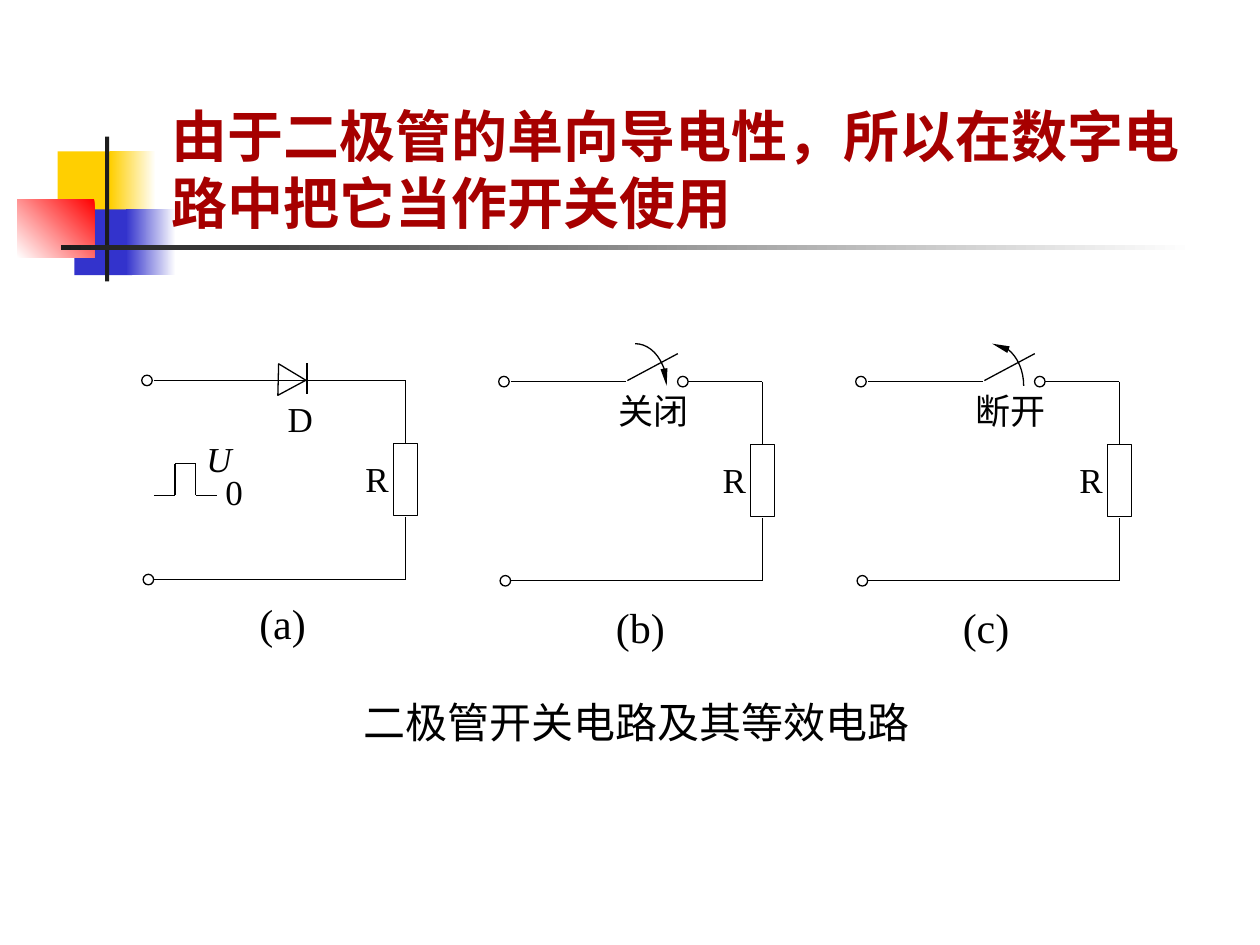
from lxml.etree import SubElement
from pptx import Presentation
from pptx.dml.color import RGBColor
from pptx.enum.shapes import MSO_CONNECTOR, MSO_SHAPE
from pptx.enum.text import MSO_ANCHOR
from pptx.oxml.ns import qn
from pptx.util import Pt

SERIF = "Times New Roman"
INK = "000000"

# Decoration: left, top, width, height, colours, clockwise angle
DECOR = [
    (33, 86.5, 34.5, 37.5, ["FFCF01"], 0),
    (63, 86.5, 26, 37.5, ["FFFFFF", "FFCF01"], 180),
    (42.5, 119.7, 33, 37.5, ["3333CC"], 0),
    (72, 119.7, 28.5, 37.5, ["FFFFFF", "3333CC"], 180),
    (9.8, 113.8, 44.2, 33.4, ["FF0000", "FFFFFF"], 135),
    (60, 78, 2.4, 82.8, ["1C1C1C"], 0),
    (34.7, 140.2, 648, 2.5, ["FFFFFF", "1C1C1C"], 180),
]
TITLE = "由于二极管的单向导电性，所以在数字电路中把它当作开关使用"
CAPTION = "二极管开关电路及其等效电路"

# Circuits sit side by side, STEP apart; switches sit DROP lower
STEP, DROP = 204, 0.7
LEFT, RIGHT, TOP, BASE = 88, 231.7, 217.4, 331.2
PULSE = [(88, 283), (100, 283), (100, 265), (111.8, 265),
         (111.8, 283), (124, 283)]
LABELS = [("D", 157.2, 223.6, 32, False), ("U", 110.9, 246.2, 32, True),
          ("0", 121.7, 265.3, 28, False)]
SWITCHES = [("关闭", "tailEnd"), ("断开", "headEnd")]
NAMES = [("(a)", 141.1, 337.7), ("(b)", 344.9, 340.3), ("(c)", 543.1, 340.3)]

prs = Presentation()
prs.slide_width, prs.slide_height = Pt(720), Pt(540)
slide = prs.slides.add_slide(prs.slide_layouts[6])
shapes = slide.shapes


def color(code):
    return RGBColor.from_string(code)


def add(kind, x, y, w, h):
    part = shapes.add_shape(kind, Pt(x), Pt(y), Pt(w), Pt(h))
    part.shadow.inherit = False
    return part


def block(x, y, w, h, tints, angle):
    part = add(MSO_SHAPE.RECTANGLE, x, y, w, h)
    part.line.fill.background()
    if len(tints) == 1:
        part.fill.solid()
        part.fill.fore_color.rgb = color(tints[0])
        return
    part.fill.gradient()
    part.fill.gradient_angle = (360 - angle) % 360
    for stop, tint in zip(part.fill.gradient_stops, tints):
        stop.color.rgb = color(tint)


def ink(part):
    part.line.color.rgb = color(INK)
    part.line.width = Pt(0.75)


def outline(kind, x, y, w, h):
    part = add(kind, x, y, w, h)
    part.fill.background()
    ink(part)
    return part


def wire(*points):
    for (x1, y1), (x2, y2) in zip(points, points[1:]):
        part = shapes.add_connector(
            MSO_CONNECTOR.STRAIGHT, Pt(x1), Pt(y1), Pt(x2), Pt(y2))
        ink(part)
        SubElement(part._element.spPr, qn("a:effectLst"))


def node(x, y):
    outline(MSO_SHAPE.FLOWCHART_CONNECTOR, x - 3, y - 3, 6, 6)


def write(text, x, y, w, h, size=20, font=SERIF, tint=INK,
          bold=False, italic=False, anchor=MSO_ANCHOR.TOP):
    frame = shapes.add_textbox(Pt(x), Pt(y), Pt(w), Pt(h)).text_frame
    frame.text = text
    frame.word_wrap = True
    frame.vertical_anchor = anchor
    face = frame.paragraphs[0].runs[0].font
    face.name, face.size = font, Pt(size)
    face.bold, face.italic = bold, italic
    face.color.rgb = color(tint)


def load(dx, dy):
    """Terminals, resistor and return wire shared by every circuit."""
    x, top, base = RIGHT + dx, TOP + dy, BASE + dy
    wire((x, top), (x, top + 36))
    outline(MSO_SHAPE.RECTANGLE, x - 7, top + 36, 14, 41.2)
    wire((x, top + 78), (x, base), (LEFT + dx, base))
    node(84 + dx, top)
    node(84.8 + dx, base)
    write("R", 201.8 + dx, top + 40.6, 31, 31.7)


def switch(text, end, dx):
    y = TOP + DROP
    load(dx, DROP)
    wire((LEFT + dx, y), (154 + dx, y))
    wire((189.4 + dx, y), (RIGHT + dx, y))
    node(186.2 + dx, y)
    wire((154.5 + dx, y - 0.6), (183.3 + dx, y - 16))
    write(text, 142.4 + dx, y + 0.8, 60, 31.7)
    # Swing of the blade
    arc = outline(MSO_SHAPE.ARC, 141 + dx, y - 21.7, 36, 48.2)
    SubElement(arc.line._get_or_add_ln(), qn("a:" + end),
               type="triangle", w="sm", len="lg")


# Heading
for item in DECOR:
    block(*item)
write(TITLE, 90.7, 48.2, 613.4, 90, size=32, font="Roboto", tint="A60000",
      bold=True, anchor=MSO_ANCHOR.BOTTOM)

# Diode circuit
load(0, 0)
wire((LEFT, TOP), (RIGHT, TOP))
diode = outline(MSO_SHAPE.ISOSCELES_TRIANGLE, 157.9, TOP - 8.2, 18, 15.8)
diode.rotation = 91.4
wire((175.5, TOP - 9.8), (175.5, TOP + 8))
wire(*PULSE)
for text, x, y, w, slant in LABELS:
    write(text, x, y, w, 31.7, italic=slant)

# Switch circuits
for i, (text, end) in enumerate(SWITCHES, 1):
    switch(text, end, i * STEP)

# Names and caption
for text, x, y in NAMES:
    write(text, x, y, 50, 36, size=24)
write(CAPTION, 200.5, 394.6, 342, 36, size=24)

prs.save("out.pptx")
